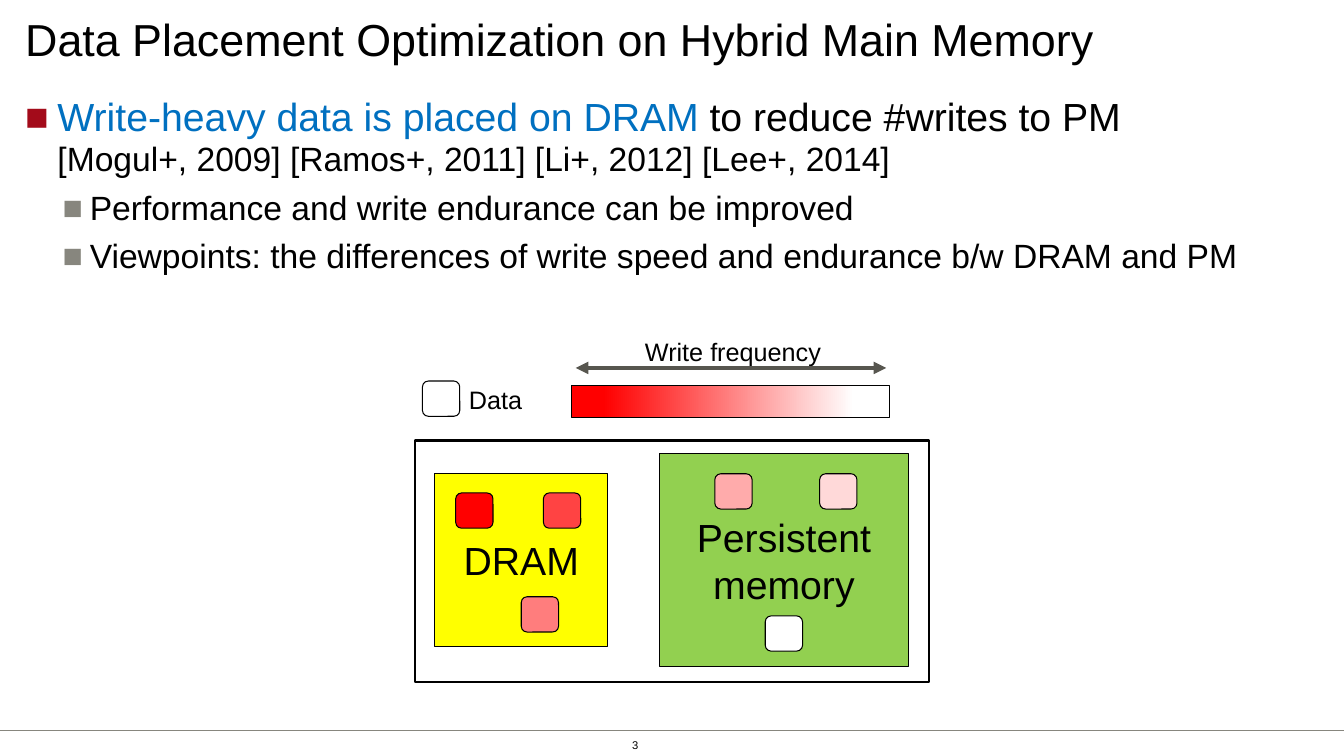
from lxml import etree
from pptx import Presentation
from pptx.dml.color import RGBColor
from pptx.enum.shapes import MSO_CONNECTOR, MSO_SHAPE
from pptx.enum.text import MSO_ANCHOR, PP_ALIGN
from pptx.oxml.ns import qn
from pptx.util import Emu, Pt

EMU_PER_PX = 9144
RECTANGLE = MSO_SHAPE.RECTANGLE
ROUNDED = MSO_SHAPE.ROUNDED_RECTANGLE
STRAIGHT = MSO_CONNECTOR.STRAIGHT
TOP, MIDDLE = MSO_ANCHOR.TOP, MSO_ANCHOR.MIDDLE
LEFT, CENTER = PP_ALIGN.LEFT, PP_ALIGN.CENTER

FONT = "Arial"
BLACK, WHITE, RED, BLUE = "000000", "FFFFFF", "FF0000", "0070C0"
DATA_BLOCKS = [
    (419, 378, WHITE),
    (452, 489, RED),
    (539, 489, "FF4343"),
    (517, 592, "FF7D7D"),
    (709, 470, "FFABAB"),
    (813, 470, "FFD9D9"),
    (759, 611, WHITE),
]


def px(length):
    """Turn whole px into EMU."""
    return Emu(length * EMU_PER_PX)


def color(code):
    """Turn a hex string into a colour."""
    return RGBColor.from_string(code)


def write(box, paragraphs, size=18, ink=BLACK, align=LEFT, anchor=TOP, wrap=True, inset=None):
    """Fill a shape with paragraphs, each a list of (text, format) spans."""
    frame = box.text_frame
    frame.word_wrap = wrap
    frame.vertical_anchor = anchor
    if inset is not None:
        frame.margin_left = frame.margin_right = px(inset)
        frame.margin_top = frame.margin_bottom = px(inset)
    for index, spans in enumerate(paragraphs):
        para = frame.paragraphs[0] if index == 0 else frame.add_paragraph()
        para.alignment = align
        for text, style in spans:
            if text == "\n":
                para.add_line_break()
                continue
            span = para.add_run()
            span.text = text
            span.font.name = FONT
            span.font.size = Pt(style.get("size", size))
            span.font.color.rgb = color(style.get("ink", ink))
    return frame


def add_text(page, left, top, width, height, paragraphs, **style):
    """Add a text box and return its text frame."""
    box = page.shapes.add_textbox(px(left), px(top), px(width), px(height))
    return write(box, paragraphs, **style)


def add_box(page, left, top, width, height, fill=None, weight=0.75, kind=RECTANGLE):
    """Add a black-outlined shape, hollow unless a fill is given."""
    box = page.shapes.add_shape(kind, px(left), px(top), px(width), px(height))
    box.shadow.inherit = False
    if fill:
        box.fill.solid()
        box.fill.fore_color.rgb = color(fill)
    else:
        box.fill.background()
    box.line.color.rgb = color(BLACK)
    box.line.width = Pt(weight)
    return box


def add_memory(page, left, top, width, height, fill, lines):
    """Add a memory area with its centred name."""
    box = add_box(page, left, top, width, height, fill)
    write(box, [[(line, {})] for line in lines], size=28, align=CENTER, anchor=MIDDLE, wrap=False)


def add_line(page, left, right, y, ink, weight, arrows=False):
    """Add a horizontal line, with arrowheads at both ends if asked."""
    line = page.shapes.add_connector(STRAIGHT, px(left), px(y), px(right), px(y))
    line.line.color.rgb = color(ink)
    line.line.width = Pt(weight)
    if arrows:
        for end in ("a:headEnd", "a:tailEnd"):
            etree.SubElement(line.line._get_or_add_ln(), qn(end), type="triangle")
    etree.SubElement(line._element.spPr, qn("a:effectLst"))


def add_bullet(para, size, level, margin, indent, ink):
    """Give a paragraph a square bullet, a hanging indent and its spacing."""
    para.level = level
    para.line_spacing = 0.95
    para.space_before = Pt(size * 0.2)
    para.space_after = Pt(size * 0.1)
    properties = para._p.get_or_add_pPr()
    properties.set("marL", str(px(margin)))
    properties.set("indent", str(px(-indent)))
    bullet_color = etree.SubElement(properties, qn("a:buClr"))
    etree.SubElement(bullet_color, qn("a:srgbClr"), val=ink)
    etree.SubElement(properties, qn("a:buFont"), typeface=FONT)
    etree.SubElement(properties, qn("a:buChar"), char="■")


def add_summary(page):
    """Add the main point and its two sub-points."""
    paragraphs = [
        [
            ("Write-heavy data is placed on DRAM ", {"size": 28, "ink": BLUE}),
            ("to reduce #writes to PM", {"size": 28}),
            ("\n", {}),
            ("[Mogul+, 2009] [Ramos+, 2011] [Li+, 2012] [Lee+, 2014]", {}),
        ],
        [("Performance and write endurance can be improved", {})],
        [("Viewpoints: the differences of write speed and endurance b/w DRAM and PM", {})],
    ]
    frame = add_text(page, 25, 95, 1281, 205, paragraphs, size=24, inset=0)
    main_point, *sub_points = frame.paragraphs
    add_bullet(main_point, 28, 0, 32, 32, "A30B1A")
    for para in sub_points:
        add_bullet(para, 24, 1, 64, 27, "87867E")


def add_frequency_scale(page):
    """Add the write-frequency bar with its label and arrow."""
    bar = add_box(page, 567, 382, 315, 32)
    bar.fill.gradient()
    bar.fill.gradient_angle = 180
    for stop, position, ink in zip(bar.fill.gradient_stops, (0.11, 0.9), (WHITE, RED)):
        stop.position = position
        stop.color.rgb = color(ink)
    add_text(page, 608, 329, 238, 38, [[("Write frequency", {})]], align=CENTER)
    add_line(page, 571, 879, 365, "57564F", 3, arrows=True)


def main():
    """Build and save the slide."""
    deck = Presentation()
    deck.slide_width, deck.slide_height = px(1333), px(750)
    page = deck.slides.add_slide(deck.slide_layouts[6])

    add_line(page, 0, 1333, 725, "87867E", 1)
    title = "Data Placement Optimization on Hybrid Main Memory"
    add_text(page, 25, 0, 1146, 76, [[(title, {})]], size=32, anchor=MIDDLE, inset=0)

    add_memory(page, 654, 450, 247, 211, "92D050", ["Persistent", "memory"])
    add_memory(page, 431, 470, 172, 171, "FFFF00", ["DRAM"])
    add_box(page, 412, 437, 509, 240, weight=1.5)
    add_frequency_scale(page)
    add_text(page, 442, 376, 99, 38, [[("Data", {})]], align=CENTER)
    for left, top, fill in DATA_BLOCKS:
        add_box(page, left, top, 37, 35, fill, kind=ROUNDED)

    add_summary(page)
    add_text(page, 627, 728, 79, 22, [[("3", {})]], size=8, anchor=MIDDLE, inset=0)
    deck.save("out.pptx")


if __name__ == "__main__":
    main()
